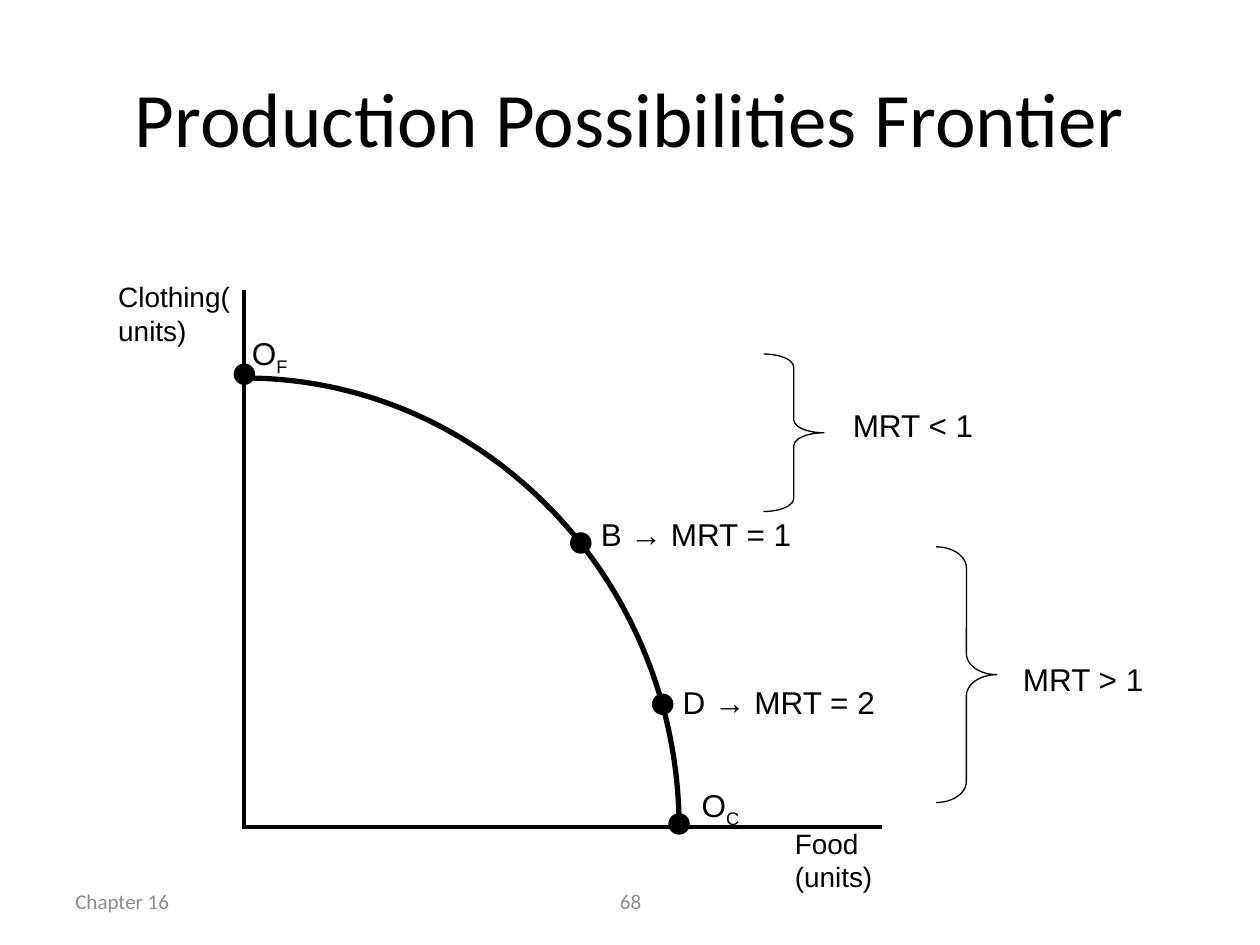
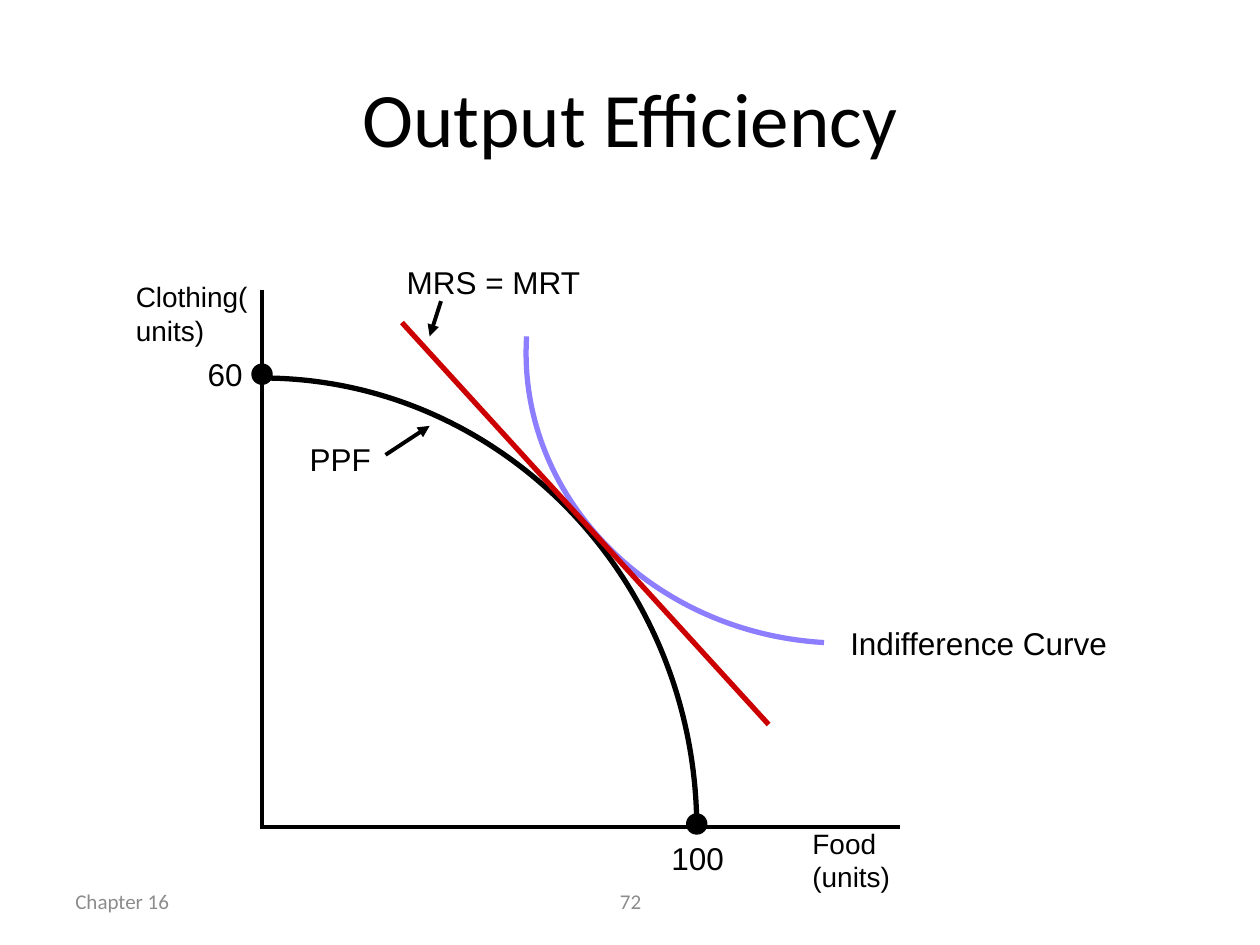
from lxml.etree import SubElement
from pptx import Presentation
from pptx.dml.color import RGBColor
from pptx.enum.shapes import MSO_CONNECTOR as CONN, MSO_SHAPE as SHAPE
from pptx.enum.text import MSO_ANCHOR as ANCHOR, MSO_AUTO_SIZE as AUTO, PP_ALIGN as ALIGN
from pptx.oxml.ns import qn
from pptx.util import Inches, Pt

COLORS = {"ink": "000000", "footer": "8C8C8C", "indifference": "8D7DFF", "tangent": "CC0000"}
TITLE_FONT, LABEL_FONT = "Calibri", "Arial"
TITLE_ONLY = 5
PLOT_TOP, PLOT_W, PLOT_H = 2.3, 5.06, 4.26
FRONTIER_TOP, FRONTIER_W = 0.7, 3.45
AXIS_OVERLAP = 0.02
DOT = 0.16
LABEL_H = 0.4


def rgb(name):
    return RGBColor.from_string(COLORS[name])


def style_text(p, size, font, color="ink", align=None):
    p.alignment = align
    p.font.size, p.font.name = Pt(size), font
    p.font.color.rgb = rgb(color)


def style_line(line, width, color="ink"):
    line.width = Pt(width)
    line.color.rgb = rgb(color)


def add_text(slide, text, left, top, width, height=LABEL_H, size=18, subscript=""):
    tf = slide.shapes.add_textbox(*map(Inches, (left, top, width, height))).text_frame
    tf.word_wrap = True
    tf.auto_size = AUTO.SHAPE_TO_FIT_TEXT
    p = tf.paragraphs[0]
    p.add_run().text = text
    if subscript:
        r = p.add_run()
        r.text = subscript
        r.font._element.set("baseline", "-25000")
    style_text(p, size, LABEL_FONT)
    return tf


def add_line(slide, start, end, width=2.25, color="ink", arrow=False):
    s = slide.shapes.add_connector(CONN.STRAIGHT, *map(Inches, (*start, *end)))
    style_line(s.line, width, color)
    if arrow:
        SubElement(s.line._get_or_add_ln(), qn("a:tailEnd"), type="triangle")
    SubElement(s._element.spPr, qn("a:effectLst"))


def add_curve(slide, points, color="ink"):
    """Draw one cubic Bezier from its start, two control points and end."""
    start, *rest = [tuple(map(Inches, pt)) for pt in points]
    builder = slide.shapes.build_freeform(*start)
    builder.add_line_segments(rest, close=False)
    s = builder.convert_to_shape()
    path = s._element.find(".//" + qn("a:path"))
    segments = path.findall(qn("a:lnTo"))
    bezier = SubElement(path, qn("a:cubicBezTo"))
    for segment in segments:
        bezier.append(segment[0])
        path.remove(segment)
    s.fill.background()
    s.shadow.inherit = False
    style_line(s.line, 3, color)


def add_dot(slide, x, y):
    s = slide.shapes.add_shape(
        SHAPE.OVAL, *map(Inches, (x - DOT / 2, y - DOT / 2, DOT, DOT)))
    s.fill.solid()
    s.fill.fore_color.rgb = rgb("ink")
    s.shadow.inherit = False
    style_line(s.line, 0.75)


def add_brace(slide, left, top, height, curl, label, label_dx, label_dy):
    s = slide.shapes.add_shape(
        SHAPE.RIGHT_BRACE, *map(Inches, (left, top, 0.48, height)))
    s.adjustments[0], s.adjustments[1] = curl, 0.5
    s.fill.background()
    s.shadow.inherit = False
    style_line(s.line, 0.75)
    add_text(slide, label, left + label_dx, top + label_dy, 1.17)


def add_footer(slide, text, left, width, align):
    tf = add_text(slide, text, left, 6.95, width)
    tf.auto_size = AUTO.NONE
    tf.vertical_anchor = ANCHOR.MIDDLE
    style_text(tf.paragraphs[0], 12, TITLE_FONT, "footer", align)


def add_titled_slide(prs, title, number):
    slide = prs.slides.add_slide(prs.slide_layouts[TITLE_ONLY])
    s = slide.shapes.title
    s.left, s.top, s.width, s.height = map(Inches, (0.5, 0.3, 9, 1.25))
    tf = s.text_frame
    tf.text = title
    tf.vertical_anchor = ANCHOR.MIDDLE
    style_text(tf.paragraphs[0], 44, TITLE_FONT, align=ALIGN.CENTER)
    add_footer(slide, "Chapter 16", 0.5, 2.33, ALIGN.LEFT)
    add_footer(slide, number, 3.42, 3.17, ALIGN.CENTER)
    return slide


def draw_frontier(slide, left, top):
    """Draw the axes, their names, the frontier and its two end points."""
    bottom = top + PLOT_H
    curve_top, curve_bottom = top + FRONTIER_TOP, bottom + AXIS_OVERLAP
    curve_right = left + FRONTIER_W
    add_line(slide, (left, top), (left, curve_bottom))
    add_line(slide, (left, bottom), (left + PLOT_W, bottom))
    add_curve(slide, [(left, curve_top), (left + 1.9, curve_top),
                      (curve_right, top + 2.3), (curve_right, curve_bottom)])
    add_text(slide, "Clothing(units)", left - 1.1, top - 0.13, 1.14, 0.64, 16)
    add_text(slide, "Food (units)", left + 4.27, bottom - 0.05, 1.14, 0.64, 16)
    add_dot(slide, left, top + 0.67)
    add_dot(slide, curve_right, top + 4.24)


def draw_transformation_rates(slide, left, top):
    add_text(slide, "O", left - 0.04, top + 0.3, 0.73, subscript="F")
    add_text(slide, "O", left + 3.53, top + 3.89, 0.56, subscript="C")
    for label, x, y, dy in (("B → MRT = 1", 2.67, 2.01, -0.27),
                            ("D → MRT = 2", 3.32, 3.29, -0.22)):
        add_dot(slide, left + x, top + y)
        add_text(slide, label, left + x + 0.06, top + y + dy, 1.95)
    add_brace(slide, left + 4.12, top + 0.51, 1.25, 0.215, "MRT < 1", 0.61, 0.36)
    add_brace(slide, left + 5.49, top + 2.04, 2.03, 0.349, "MRT > 1", 0.59, 0.85)


def draw_efficient_output(slide, left, top):
    def at(x, y):
        return left + x, top + y

    add_text(slide, "60", *at(-0.53, 0.47), 0.5)
    add_text(slide, "100", *at(3.15, 4.31), 0.73)
    add_curve(slide, [at(4.46, 2.8), at(3.08, 2.72), at(2.02, 1.63), at(2.1, 0.37)],
              "indifference")
    add_text(slide, "Indifference Curve", *at(4.57, 2.6), 2.64)
    add_line(slide, at(1.11, 0.26), at(4.02, 3.45), 3, "tangent")
    add_text(slide, "MRS = MRT", *at(1.05, -0.26), 1.86)
    add_line(slide, at(1.42, 0.09), at(1.33, 0.37), arrow=True)
    add_text(slide, "PPF", *at(0.28, 1.14), 0.81)
    add_line(slide, at(0.98, 1.31), at(1.33, 1.08), arrow=True)


def main():
    prs = Presentation()
    prs.slide_width, prs.slide_height = Inches(10), Inches(7.5)
    for title, number, left, draw_details in (
            ("Production Possibilities Frontier", "68", 1.94, draw_transformation_rates),
            ("Output Efficiency", "72", 2.08, draw_efficient_output)):
        slide = add_titled_slide(prs, title, number)
        draw_frontier(slide, left, PLOT_TOP)
        draw_details(slide, left, PLOT_TOP)
    prs.save("out.pptx")


if __name__ == "__main__":
    main()
